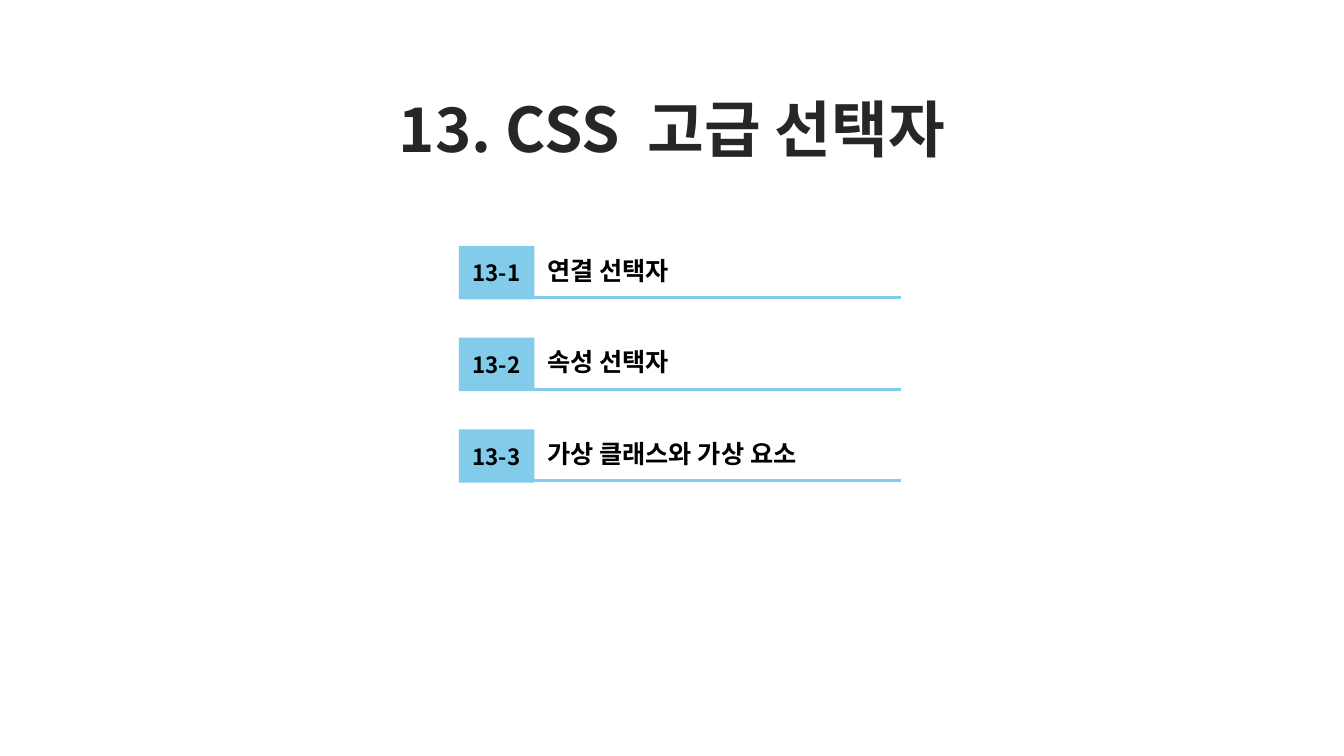
from lxml import etree
from pptx import Presentation
from pptx.dml.color import RGBColor
from pptx.enum.shapes import MSO_CONNECTOR, MSO_SHAPE
from pptx.enum.text import MSO_ANCHOR, PP_ALIGN
from pptx.oxml.ns import qn
from pptx.util import Inches, Pt

# Each title part is its text and the extra letter spacing in points
TITLE = [("13. CSS", 0), (" ", 9.5), ("고급 선택자", 0)]
SECTIONS = [
    ("13-1", "연결 선택자"),
    ("13-2", "속성 선택자"),
    ("13-3", "가상 클래스와 가상 요소"),
]

COLORS = {"title": "262626", "text": "000000", "accent": "83CBEB"}
FONT = "Noto Sans CJK KR"
WIDTH, HEIGHT = 13.33, 7.5
TITLE_AREA = (WIDTH / 8, 0.78, WIDTH * 3 / 4, 0.91)

LEFT, TOP, ROW_STEP = 4.55, 2.44, 0.91
BADGE_WIDTH, BADGE_HEIGHT = 0.75, 0.53
LABEL_LEFT, LABEL_WIDTH, LABEL_HEIGHT, LABEL_DROP = 5.33, 4.35, 0.4, 0.04
RULE_LEFT, RULE_RIGHT, RULE_DROP = 5.29, 8.94, 0.51

CENTER, MIDDLE, BOTTOM = PP_ALIGN.CENTER, MSO_ANCHOR.MIDDLE, MSO_ANCHOR.BOTTOM
RECTANGLE, STRAIGHT = MSO_SHAPE.RECTANGLE, MSO_CONNECTOR.STRAIGHT


def color(name):
    return RGBColor.from_string(COLORS[name])


def inches(*lengths):
    return [Inches(length) for length in lengths]


def add_span(para, text, size, color_name, spacing=0):
    span = para.add_run()
    span.text = text
    font = span.font
    font.size, font.bold, font.name = Pt(size), True, FONT
    font.color.rgb = color(color_name)
    properties = span._r.get_or_add_rPr()
    etree.SubElement(properties, qn("a:ea")).set("typeface", FONT)
    if spacing:
        properties.set("spc", str(round(spacing * 100)))


def add_title(page):
    box = page.shapes.add_textbox(*inches(*TITLE_AREA))
    frame = box.text_frame
    frame.word_wrap, frame.vertical_anchor = True, BOTTOM
    para = frame.paragraphs[0]
    para.alignment, para.line_spacing = CENTER, 0.9
    for text, spacing in TITLE:
        add_span(para, text, 44, "title", spacing)


def add_section(page, top, number, name):
    shapes = page.shapes.add_group_shape().shapes

    badge = shapes.add_shape(
        RECTANGLE, *inches(LEFT, top, BADGE_WIDTH, BADGE_HEIGHT))
    badge.shadow.inherit = False
    badge.fill.solid()
    badge.fill.fore_color.rgb = color("accent")
    badge.line.fill.background()
    badge.text_frame.vertical_anchor = MIDDLE
    para = badge.text_frame.paragraphs[0]
    para.alignment = CENTER
    add_span(para, number, 16, "text")

    label = shapes.add_textbox(
        *inches(LABEL_LEFT, top + LABEL_DROP, LABEL_WIDTH, LABEL_HEIGHT))
    label.text_frame.word_wrap = True
    add_span(label.text_frame.paragraphs[0], name, 18, "text")

    rule_top = top + RULE_DROP
    rule = shapes.add_connector(
        STRAIGHT, *inches(RULE_LEFT, rule_top, RULE_RIGHT, rule_top))
    rule.line.color.rgb = color("accent")
    rule.line.width = Pt(2.25)
    etree.SubElement(rule._element.spPr, qn("a:effectLst"))


def main():
    deck = Presentation()
    deck.slide_width, deck.slide_height = inches(WIDTH, HEIGHT)
    page = deck.slides.add_slide(deck.slide_layouts[6])
    add_title(page)
    for row, (number, name) in enumerate(SECTIONS):
        add_section(page, TOP + row * ROW_STEP, number, name)
    deck.save("out.pptx")


if __name__ == "__main__":
    main()
